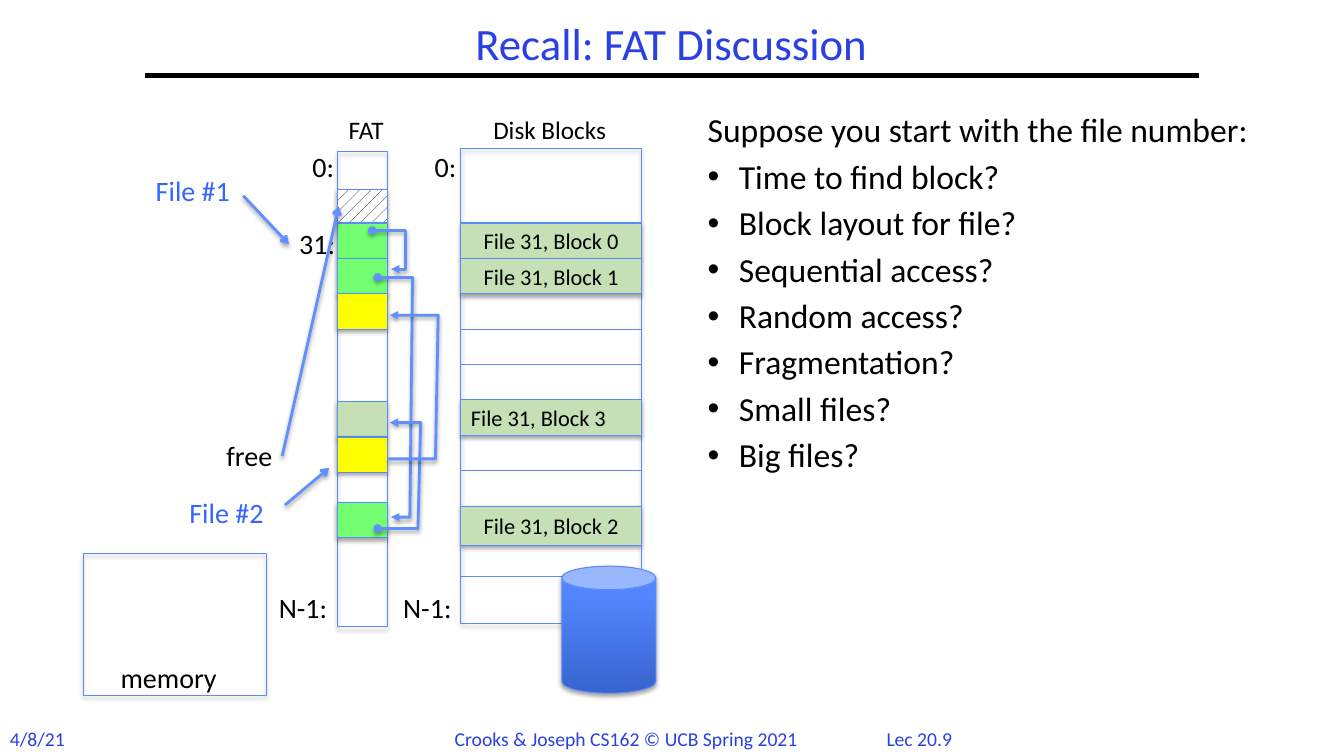
"""Builds the slide that recalls the file allocation table discussion."""
from dataclasses import dataclass
from typing import Any

from lxml.etree import SubElement
from pptx import Presentation
from pptx.dml.color import RGBColor
from pptx.enum.dml import MSO_PATTERN
from pptx.enum.shapes import MSO_CONNECTOR, MSO_SHAPE
from pptx.enum.text import MSO_ANCHOR, MSO_AUTO_SIZE, PP_ALIGN
from pptx.oxml.ns import qn
from pptx.util import Emu, Inches, Pt

WIDTH, HEIGHT = Inches(13.33), Inches(7.5)
COLUMN, ROW = WIDTH / 100, HEIGHT / 100
LEFT, CENTER = PP_ALIGN.LEFT, PP_ALIGN.CENTER


@dataclass(frozen=True)
class Theme:
    """Colours, font and type sizes."""
    font: str = "Calibri"
    ink: str = "000000"
    paper: str = "FFFFFF"
    heading: str = "2A40E2"
    accent: str = "3366FF"
    outline: str = "5B8AFB"
    arrow: str = "618FFD"
    green: str = "72FF72"
    sage: str = "C5E0B4"
    yellow: str = "FFFF00"
    cylinder_dark: str = "3764CE"
    cylinder_light: str = "5487FF"
    title: int = 32
    body: int = 24
    label: int = 20
    caption: int = 18
    block: int = 16
    footer: int = 14


@dataclass
class Board:
    """Draws on one page, with lengths in hundredths of its size."""
    page: Any
    theme: Theme

    def format_text(self, frame, size, color, align):
        """Format every span in a text frame."""
        for para in frame.paragraphs:
            para.alignment = align
            for span in para.runs:
                span.font.name = self.theme.font
                span.font.size = Pt(size)
                span.font.color.rgb = RGBColor.from_string(color)

    def place(self, left, top, width, height):
        """Turn columns and rows into lengths."""
        return [Emu(round(n)) for n in
                (left * COLUMN, top * ROW, width * COLUMN, height * ROW)]

    def placeholder(self, index, area, text, size, color, align):
        """Fill and move a placeholder with tight lines."""
        box = self.page.placeholders[index]
        box.left, box.top, box.width, box.height = self.place(*area)
        frame = box.text_frame
        frame.text = text
        frame.auto_size = MSO_AUTO_SIZE.NONE
        self.format_text(frame, size, color, align)
        for para in frame.paragraphs:
            para.line_spacing = 0.9
        return frame

    def title(self, area, text):
        """Set the title."""
        frame = self.placeholder(0, area, text, self.theme.title, self.theme.heading, CENTER)
        frame.vertical_anchor = MSO_ANCHOR.MIDDLE

    def bullets(self, area, lead, items):
        """Set a lead line followed by a bulleted list."""
        frame = self.placeholder(1, area, "\n".join([lead, *items]),
                                 self.theme.body, self.theme.ink, LEFT)
        for number, para in enumerate(frame.paragraphs):
            indent = Inches(0.31) if number else 0
            para.space_before = Pt(0.3 * self.theme.body)
            properties = para._p.get_or_add_pPr()
            properties.set("marL", str(indent))
            properties.set("indent", str(-indent))
            if number:
                SubElement(properties, qn("a:buChar"), char="•")
            else:
                SubElement(properties, qn("a:buNone"))

    def label(self, left, top, width, text, size=None, color=None, align=CENTER):
        """Add a one-line text box."""
        box = self.page.shapes.add_textbox(*self.place(left, top, width, 5.9))
        box.text_frame.text = text
        self.format_text(box.text_frame, size or self.theme.label,
                         color or self.theme.ink, align)

    def effects(self, shape, shadow):
        """Give a shape a soft shadow below, or none."""
        effects = SubElement(shape._element.spPr, qn("a:effectLst"))
        if shadow:
            outer = SubElement(effects, qn("a:outerShdw"), blurRad=str(Pt(3.1)),
                               dist=str(Pt(1.8)), dir="5400000", rotWithShape="0")
            black = SubElement(outer, qn("a:srgbClr"), val=self.theme.ink)
            SubElement(black, qn("a:alpha"), val="35000")

    def box(self, area, fill=None, text="", align=CENTER, shadow=True, kind=MSO_SHAPE.RECTANGLE):
        """Add an outlined shape, hollow unless given a fill."""
        shape = self.page.shapes.add_shape(kind, *self.place(*area))
        if fill:
            shape.fill.solid()
            shape.fill.fore_color.rgb = RGBColor.from_string(fill)
        else:
            shape.fill.background()
        shape.line.color.rgb = RGBColor.from_string(self.theme.outline)
        shape.line.width = Pt(0.75)
        self.effects(shape, shadow)
        if text:
            frame = shape.text_frame
            frame.text = text
            frame.margin_top = frame.margin_bottom = 0
            frame.vertical_anchor = MSO_ANCHOR.MIDDLE
            self.format_text(frame, self.theme.block, self.theme.ink, align)
        return shape

    def hatched(self, area):
        """Add a box with a pattern fill."""
        fill = self.box(area).fill
        fill.patterned()
        fill.pattern = MSO_PATTERN.PERCENT_10
        fill.fore_color.rgb = RGBColor.from_string(self.theme.ink)
        fill.back_color.rgb = RGBColor.from_string(self.theme.paper)

    def cylinder(self, area):
        """Add a shaded disk."""
        fill = self.box(area, kind=MSO_SHAPE.CAN).fill
        fill.gradient()
        fill.gradient_angle = 90
        colors = (self.theme.cylinder_dark, self.theme.cylinder_light)
        for stop, color, position in zip(fill.gradient_stops, colors, (0, 0.8)):
            stop.color.rgb = RGBColor.from_string(color)
            stop.position = position

    def stroke(self, shape, color, width, head=None, tail=None, shadow=True):
        """Style a line and its ends."""
        shape.line.color.rgb = RGBColor.from_string(color)
        shape.line.width = Pt(width)
        for tag, end in (("a:headEnd", head), ("a:tailEnd", tail)):
            if end:
                SubElement(shape.line._get_or_add_ln(), qn(tag), type=end)
        self.effects(shape, shadow)

    def line(self, start, end):
        """Add a straight connector."""
        return self.page.shapes.add_connector(
            MSO_CONNECTOR.STRAIGHT, *self.place(*start, *end))

    def pointer(self, start, end):
        """Add a straight arrow."""
        self.stroke(self.line(start, end), self.theme.arrow, 2, tail="arrow")

    def link(self, start, turns, end, head="oval"):
        """Add an arrow that runs out to the turns and back."""
        points = [start, (turns[0], start[1]), (turns[1], end[1]), end]
        (x, y), *rest = [(round(x * COLUMN), round(y * ROW)) for x, y in points]
        builder = self.page.shapes.build_freeform(x, y)
        builder.add_line_segments(rest, close=False)
        shape = builder.convert_to_shape()
        shape.fill.background()
        self.stroke(shape, self.theme.arrow, 2, head, "triangle")


def main():
    """Build and save the deck."""
    deck = Presentation()
    deck.slide_width, deck.slide_height = WIDTH, HEIGHT
    theme = Theme()
    board = Board(deck.slides.add_slide(deck.slide_layouts[1]), theme)

    board.title((10.8, 2.3, 78.3, 7.7), "Recall: FAT Discussion")
    board.stroke(board.line((10.8, 10), (89.2, 10)), theme.ink, 3, shadow=False)
    board.bullets((51.9, 14.4, 44.8, 63.5), "Suppose you start with the file number:", [
        "Time to find block?", "Block layout for file?", "Sequential access?",
        "Random access?", "Fragmentation?", "Small files?", "Big files?"])
    for left, width, text in ((0, 6, "4/8/21"), (63.8, 9.2, "Lec 20.9"),
                              (33.1, 28.2, "Crooks & Joseph CS162 © UCB Spring 2021")):
        board.label(left, 95.5, width, text, theme.footer, theme.heading,
                    CENTER if left > 60 else LEFT)

    first_row, pitch = 29.5, 4.68
    blocks = {0: 0, 1: 1, 5: 3, 8: 2}
    board.box((34.3, 19.7, 13.4, 62.8))
    for row in sorted(range(9), key=lambda row: row in blocks):
        area = (34.3, first_row + row * pitch, 13.4, 5.2 if row == 8 else pitch)
        if row in blocks:
            board.box(area, theme.sage, f"File 31, Block {blocks[row]}",
                      LEFT if row == 5 else CENTER)
        else:
            board.box(area, shadow=False)
    board.box((34.3, 72.1, 13.4, 4.1), shadow=False)

    board.box((25.1, 20.1, 3.7, 62.8))
    board.hatched((25.1, first_row - pitch + 0.3, 3.7, 4.5))
    for row, color in ((0, theme.green), (1, theme.green), (2, theme.yellow),
                       (5.05, theme.sage), (6.05, theme.yellow), (7.9, theme.green)):
        board.box((25.1, first_row + row * pitch, 3.7, pitch), color)
    board.box((6.2, 73.2, 13.6, 18.8))
    board.cylinder((41.8, 74.9, 7, 16.8))

    for left, width, text in ((34.5, 12.8, "Disk Blocks"), (24.8, 4.9, "FAT")):
        board.label(left, 14.5, width, text, theme.caption)
    for left, top, width, text in (
            (22.4, 19.1, 3.3, "0:"), (31.4, 19.1, 3.5, "0:"), (21.4, 29.3, 4.4, "31:"),
            (19.8, 77.5, 5.5, "N-1:"), (29, 77.5, 5.6, "N-1:"),
            (16, 57.3, 5.1, "free"), (8, 86.7, 9.1, "memory")):
        board.label(left, top, width, text)
    board.label(10.4, 22.3, 7.9, "File #1", color=theme.accent)
    board.label(12.9, 64.9, 7.9, "File #2", color=theme.accent)

    board.pointer((18.1, 25.9), (21.5, 32.3))
    board.pointer((21, 60.3), (25.2, 27.3))
    board.pointer((21.2, 66.8), (24.5, 61.9))
    board.link((27.7, 30.5), (30.2, 30.2), (29.1, 35.6))
    board.link((28.1, 36.7), (30.7, 30.5), (29.1, 68.4))
    board.link((28.1, 69.9), (31.1, 31.3), (29, 55.9))
    board.link((28.9, 60.7), (32.4, 32.6), (29, 41.7), head=None)
    deck.save("out.pptx")


if __name__ == "__main__":
    main()
